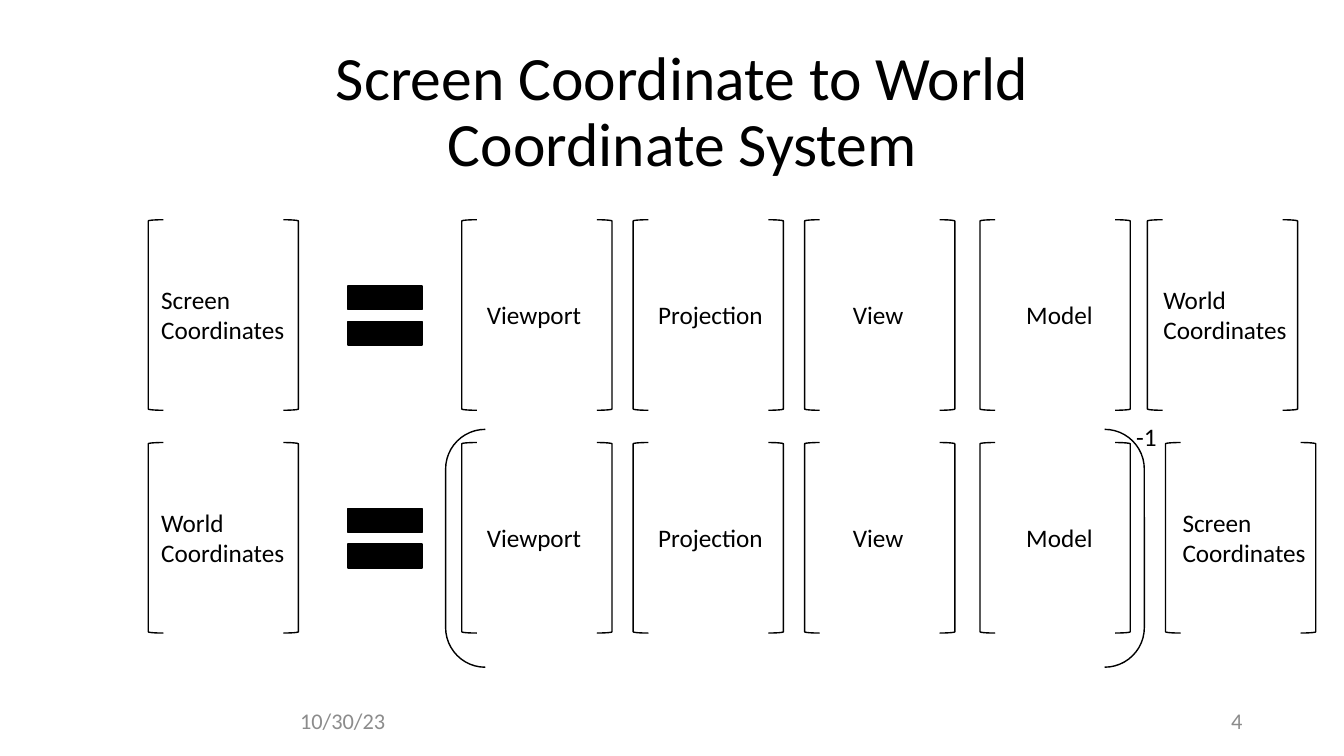
from dataclasses import dataclass
from pptx import Presentation
from pptx.dml.color import RGBColor
from pptx.enum import shapes, text
from pptx.util import Inches, Pt

KIND = shapes.MSO_SHAPE
ALIGN = text.PP_ALIGN


@dataclass(frozen=True)
class Theme:
    font: str = "Calibri"
    ink: str = "000000"
    gray: str = "8C8C8C"
    title: int = 44
    label: int = 18
    foot: int = 16
    line: int = 1


@dataclass(frozen=True)
class Matrix:
    """A bracketed label; dx is the label's offset from the left bracket."""
    name: str
    left: float
    dx: float


@dataclass(frozen=True)
class Row:
    top: float
    first: Matrix
    last: Matrix


@dataclass(frozen=True)
class Note:
    name: str
    box: tuple
    size: int
    color: str
    align: ALIGN
    anchor: text.MSO_ANCHOR = text.MSO_ANCHOR.MIDDLE
    wrap: bool = True
    pitch: float = 1.0


THEME = Theme()
CHAIN = (
    Matrix("Viewport", 4.58, 0.15),
    Matrix("Projection", 6.28, 0.15),
    Matrix("View", 7.98, 0.38),
    Matrix("Model", 9.72, 0.36),
)
ROWS = (
    Row(2.18, Matrix("Screen Coordinates", 1.47, 0.03),
        Matrix("World Coordinates", 11.38, 0.06)),
    Row(4.39, Matrix("World Coordinates", 1.47, 0.03),
        Matrix("Screen Coordinates", 11.56, 0.07)),
)
NOTES = (
    Note("Screen Coordinate to World Coordinate System", (2.07, 0.4, 9.4, 1.45),
         THEME.title, THEME.ink, ALIGN.CENTER, pitch=0.9),
    Note("10/30/23", (0.92, 6.95, 3, 0.4), THEME.foot, THEME.gray, ALIGN.RIGHT),
    Note("4", (9.42, 6.95, 3, 0.4), THEME.foot, THEME.gray, ALIGN.RIGHT),
)
TALL, THIN, SPAN = 1.89, 0.15, 1.34


def write(slide, note: Note) -> None:
    frame = slide.shapes.add_textbox(*map(Inches, note.box)).text_frame
    for key, value in {"word_wrap": note.wrap,
                       "vertical_anchor": note.anchor}.items():
        setattr(frame, key, value)
    para = frame.paragraphs[0]
    para.alignment, para.line_spacing = note.align, note.pitch
    run = para.add_run()
    run.text = note.name
    for key, value in {"name": THEME.font, "size": Pt(note.size)}.items():
        setattr(run.font, key, value)
    run.font.color.rgb = RGBColor.from_string(note.color)


def label(slide, name: str, box: tuple, wrap: bool = True) -> None:
    write(slide, Note(name, box, THEME.label, THEME.ink, ALIGN.LEFT,
                      text.MSO_ANCHOR.TOP, wrap))


def draw(slide, kind: KIND, box: tuple, solid: bool = False) -> None:
    shape = slide.shapes.add_shape(kind, *map(Inches, box))
    shape.shadow.inherit = False
    ink = RGBColor.from_string(THEME.ink)
    if solid:
        shape.fill.solid()
        shape.fill.fore_color.rgb = ink
    else:
        shape.fill.background()
    shape.line.color.rgb = ink
    shape.line.width = Pt(THEME.line)


def matrix(slide, item: Matrix, top: float) -> None:
    draw(slide, KIND.LEFT_BRACKET, (item.left, top, THIN, TALL))
    draw(slide, KIND.RIGHT_BRACKET, (item.left + SPAN, top, THIN, TALL))
    high = 0.71 if " " in item.name else 0.4
    label(slide, item.name,
          (item.left + item.dx, top + (TALL - high) / 2, 1.49, high))


def main() -> None:
    deck = Presentation()
    deck.slide_width, deck.slide_height = Inches(13.33), Inches(7.5)
    slide = deck.slides.add_slide(deck.slide_layouts[6])
    for note in NOTES:
        write(slide, note)
    for row in ROWS:
        for item in (row.first, *CHAIN, row.last):
            matrix(slide, item, row.top)
        draw(slide, KIND.MATH_EQUAL, (3.32, row.top + 0.45, 1, 1), solid=True)
    draw(slide, KIND.DOUBLE_BRACKET, (4.42, 4.26, 6.93, 2.36))
    label(slide, "-1", (11.17, 4.13, 0.41, 0.4), wrap=False)
    deck.save("out.pptx")


if __name__ == "__main__":
    main()
